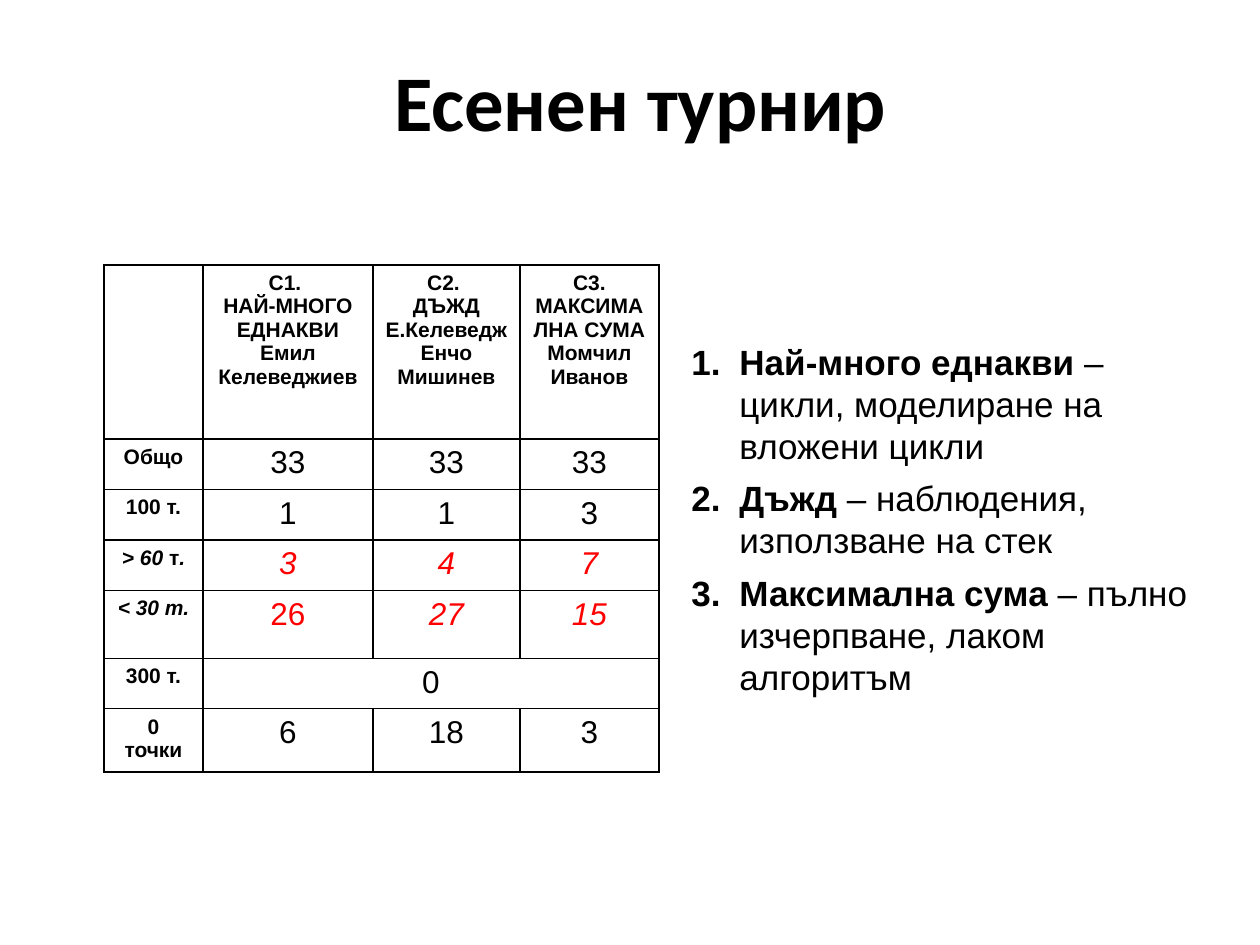
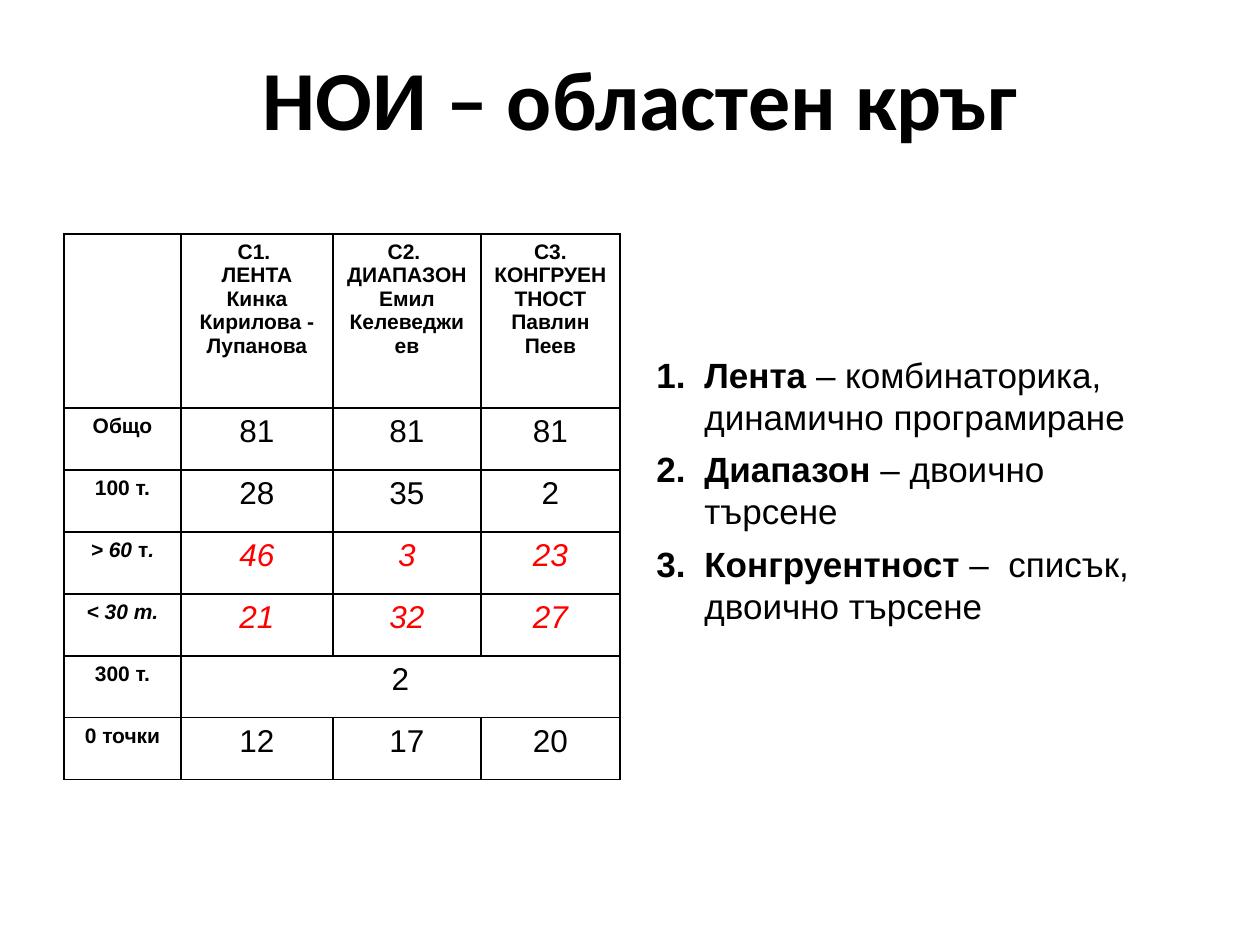
from lxml import etree
from pptx import Presentation
from pptx.dml.color import RGBColor
from pptx.enum.text import MSO_ANCHOR, MSO_AUTO_SIZE, PP_ALIGN
from pptx.oxml.ns import qn
from pptx.util import Emu, Pt

BLACK = RGBColor(0x00, 0x00, 0x00)
RED = RGBColor(0xFF, 0x00, 0x00)
BODY_FONT = "Arial"
TITLE_FONT = "Calibri"
CENTER = PP_ALIGN.CENTER
ANCHOR_BOTTOM = MSO_ANCHOR.BOTTOM
ANCHOR_MIDDLE = MSO_ANCHOR.MIDDLE
GROW = MSO_AUTO_SIZE.SHAPE_TO_FIT_TEXT
EMU_PER_PX = 914400 / 126
BLANK_LAYOUT = 6
HANGING_INDENT = 48

# Each label is a list of (text, italic) runs.
ROW_LABELS = [
    [("Общо", False)],
    [("100 т.", False)],
    [("> 60 ", True), ("т", False), (".", True)],
    [("< 30 т.", True)],
    [("300 т.", False)],
    [("0 точки", False)],
]
# Rows of the table, counted with the header row.
RED_ROWS = (3, 4)
MERGED_ROW = 5


def px(length):
    return Emu(round(length * EMU_PER_PX))


def add_text(paragraph, text, size=12, bold=False, italic=False,
             color=BLACK, font=BODY_FONT):
    run = paragraph.add_run()
    run.text = text
    run.font.size = Pt(size)
    run.font.bold = bold
    run.font.italic = italic
    run.font.name = font
    run.font.color.rgb = color


def next_paragraph(frame, index):
    return frame.paragraphs[0] if index == 0 else frame.add_paragraph()


def style_cell(cell):
    """Give the cell thin black borders and no fill."""
    properties = cell._tc.get_or_add_tcPr()
    for side in ("a:lnL", "a:lnR", "a:lnT", "a:lnB"):
        line = etree.SubElement(properties, qn(side), w=str(Pt(1)))
        fill = etree.SubElement(line, qn("a:solidFill"))
        etree.SubElement(fill, qn("a:srgbClr"), val=str(BLACK))
    cell.fill.background()


class Deck:
    def __init__(self):
        self.presentation = Presentation()
        self.presentation.slide_width = px(1260)
        self.presentation.slide_height = px(945)
        self.slide = None

    def add_slide(self):
        layout = self.presentation.slide_layouts[BLANK_LAYOUT]
        self.slide = self.presentation.slides.add_slide(layout)

    def add_text_frame(self, left, top, width, height, anchor):
        box = self.slide.shapes.add_textbox(px(left), px(top), px(width), px(height))
        frame = box.text_frame
        frame.word_wrap = True
        frame.vertical_anchor = anchor
        return frame

    def add_title(self, text, size):
        frame = self.add_text_frame(95, 26, 1091, 129, ANCHOR_BOTTOM)
        paragraph = frame.paragraphs[0]
        paragraph.alignment = CENTER
        paragraph.line_spacing = 0.9
        add_text(paragraph, text, size=size, bold=True, font=TITLE_FONT)

    def add_results(self, left, top, columns, rows, tasks, scores, upright=()):
        """Draw the score table; cells listed in upright stay unslanted."""
        frame = self.slide.shapes.add_table(
            len(rows), len(columns), px(left), px(top), px(sum(columns)), px(sum(rows)))
        table = frame.table
        table.first_row = False
        table.horz_banding = False
        for column, width in zip(table.columns, columns):
            column.width = px(width)
        for row, height in zip(table.rows, rows):
            row.height = px(height)
        for cell in table.iter_cells():
            style_cell(cell)
        table.cell(MERGED_ROW, 1).merge(table.cell(MERGED_ROW, len(columns) - 1))

        for column, lines in enumerate(tasks, start=1):
            header = table.cell(0, column).text_frame
            for index, line in enumerate(lines):
                paragraph = next_paragraph(header, index)
                paragraph.alignment = CENTER
                add_text(paragraph, line, bold=True)

        for row, (label, values) in enumerate(zip(ROW_LABELS, scores), start=1):
            paragraph = table.cell(row, 0).text_frame.paragraphs[0]
            paragraph.alignment = CENTER
            for text, italic in label:
                add_text(paragraph, text, bold=True, italic=italic)
            highlighted = row in RED_ROWS
            for column, value in enumerate(values, start=1):
                paragraph = table.cell(row, column).text_frame.paragraphs[0]
                paragraph.alignment = CENTER
                add_text(paragraph, str(value), size=18,
                         italic=highlighted and (row, column) not in upright,
                         color=RED if highlighted else BLACK)

    def add_topics(self, left, top, width, height, topics):
        """Write a numbered list of tasks, each with its subject matter."""
        frame = self.add_text_frame(left, top, width, height, ANCHOR_MIDDLE)
        frame.auto_size = GROW
        for index, (task, subject) in enumerate(topics):
            paragraph = next_paragraph(frame, index)
            paragraph.space_before = Pt(6)
            properties = paragraph._p.get_or_add_pPr()
            properties.set("marL", str(px(HANGING_INDENT)))
            properties.set("indent", str(-px(HANGING_INDENT)))
            etree.SubElement(properties, qn("a:buFont"), typeface=BODY_FONT)
            etree.SubElement(properties, qn("a:buAutoNum"), type="arabicPeriod")
            add_text(paragraph, task + " ", size=20, bold=True)
            add_text(paragraph, "– " + subject, size=20)


def add_autumn_tournament(deck):
    deck.add_slide()
    deck.add_title("Есенен турнир", 45)
    deck.add_results(
        104, 265, [99, 170, 147, 139], [174, 49, 49, 49, 68, 49, 60],
        tasks=[
            ("С1. ", "НАЙ-МНОГО ЕДНАКВИ", "Емил Келеведжиев"),
            ("С2. ", "ДЪЖД", "Е.КелеведжЕнчо Мишинев"),
            ("С3.", "МАКСИМАЛНА СУМА", "Момчил Иванов"),
        ],
        scores=[(33, 33, 33), (1, 1, 3), (3, 4, 7), (26, 27, 15), (0,), (6, 18, 3)],
        upright=[(4, 1)])
    deck.add_topics(679, 330, 547, 378, [
        ("Най-много еднакви", "цикли, моделиране на вложени цикли"),
        ("Дъжд", "наблюдения, използване на стек"),
        ("Максимална сума", "пълно изчерпване, лаком алгоритъм"),
    ])


def add_regional_round(deck):
    deck.add_slide()
    deck.add_title("НОИ – областен кръг", 48)
    deck.add_results(
        64, 234, [117, 152, 148, 139], [174] + [62] * 6,
        tasks=[
            ("С1. ", "ЛЕНТА", "Кинка Кирилова - Лупанова"),
            ("С2. ", "ДИАПАЗОН", "Емил Келеведжиев"),
            ("С3.", "КОНГРУЕНТНОСТ", "Павлин Пеев"),
        ],
        scores=[(81, 81, 81), (28, 35, 2), (46, 3, 23), (21, 32, 27), (2,), (12, 17, 20)])
    deck.add_topics(644, 344, 541, 292, [
        ("Лента", "комбинаторика, динамично програмиране"),
        ("Диапазон", "двоично търсене"),
        ("Конгруентност", " списък, двоично търсене"),
    ])


def main():
    deck = Deck()
    add_autumn_tournament(deck)
    add_regional_round(deck)
    deck.presentation.save("out.pptx")


if __name__ == "__main__":
    main()
